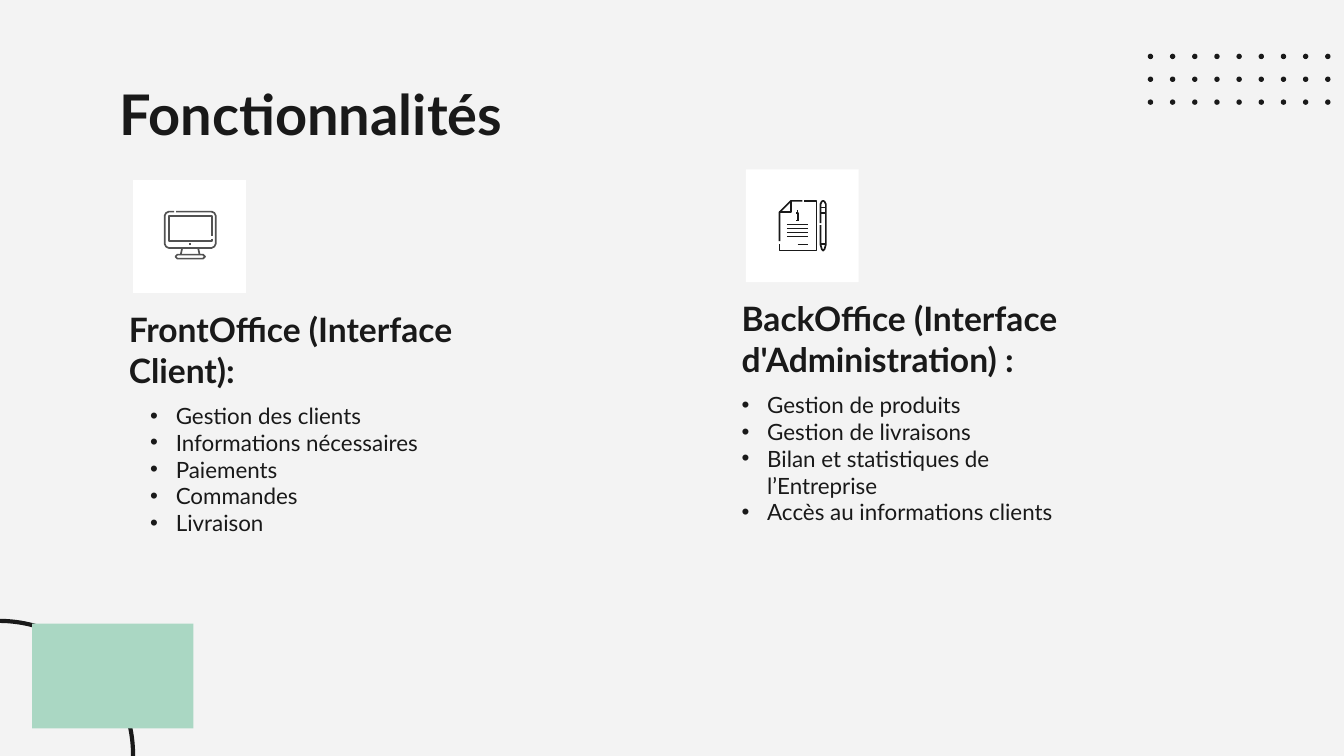
from lxml.etree import SubElement
from pptx import Presentation
from pptx.dml.color import RGBColor
from pptx.enum.shapes import MSO_SHAPE
from pptx.enum.text import MSO_ANCHOR, PP_ALIGN
from pptx.oxml.ns import qn
from pptx.util import Inches, Pt

HUES = {"back": "F3F3F3", "ink": "191919", "mint": "AAD7C3",
        "tile": "FFFFFF", "gray": "525252"}
FONT = "Lato"
GRID = 200

SCREEN = [
    ([(64, 47), (117, 47), (121, 49), (123, 53), (123, 95), (121, 99), (117, 101),
      (53, 101), (49, 99), (47, 95), (47, 53), (49, 49), (53, 47), (61, 47)], False),
    ([(117, 87), (117, 91), (53, 91), (53, 53), (117, 53), (117, 83)], False),
    ([(73, 102), (71, 111)], False),
    ([(97, 102), (99, 111)], False),
    ([(66, 111), (104, 111), (107, 114), (104, 117), (66, 117), (63, 114)], True),
    ([(84, 95), (86, 95)], False),
]
PAPER = [
    ([(87, 47), (105, 47), (105, 121), (50, 121), (50, 111)], False),
    ([(84, 47), (67, 47), (50, 64), (50, 107)], False),
    ([(67, 47), (67, 64), (50, 64)], False),
    *[([(61, y), (93, y)], False) for y in range(82, 101, 6)],
    ([(77, 112), (93, 112)], False),
    ([(76, 62), (78, 62)], False),
    ([(75, 65), (77, 65), (77, 76)], False),
    ([(75, 76), (79, 76)], False),
    ([(111, 80), (111, 52), (113, 48), (115, 47), (117, 48), (119, 52), (119, 112),
      (117, 119), (115, 121), (113, 119), (111, 112), (111, 83)], False),
    *[([(111, y), (119, y)], False) for y in (57, 65, 111)],
]


def tint(name):
    return RGBColor.from_string(HUES[name])


def paint(shape, fill=None, line=None, width=1):
    shape.shadow.inherit = False
    if fill:
        shape.fill.solid()
        shape.fill.fore_color.rgb = tint(fill)
    else:
        shape.fill.background()
    if line:
        shape.line.color.rgb = tint(line)
        shape.line.width = Pt(width)
    else:
        shape.line.fill.background()


def add_form(slide, kind, box, **look):
    shape = slide.shapes.add_shape(kind, *map(Inches, box))
    paint(shape, **look)


def add_text(slide, box, lines, size, bold=False, anchor=MSO_ANCHOR.TOP):
    frame = slide.shapes.add_textbox(*map(Inches, box)).text_frame
    frame.word_wrap = True
    frame.vertical_anchor = anchor
    frame.margin_left = frame.margin_right = Inches(0.1)
    frame.margin_top = frame.margin_bottom = Inches(0.1)
    frame.text = "\n".join(lines)
    for part in frame.paragraphs:
        part.alignment = PP_ALIGN.LEFT
        for run in part.runs:
            run.font.name = FONT
            run.font.size = Pt(size)
            run.font.bold = bold
            run.font.color.rgb = tint("ink")
    return frame


def add_marks(frame, indent):
    for part in frame.paragraphs:
        props = part._p.get_or_add_pPr()
        props.set("marL", str(Inches(indent)))
        props.set("indent", str(-Inches(0.19)))
        color = SubElement(props, qn("a:buClr"))
        SubElement(color, qn("a:srgbClr"), val=HUES["ink"])
        SubElement(props, qn("a:buFont"), typeface="Arial")
        SubElement(props, qn("a:buChar"), char="•")


def add_icon(slide, box, strokes, hue):
    left, top, width, height = box
    add_form(slide, MSO_SHAPE.RECTANGLE, box, fill="tile")
    for points, closed in strokes:
        pen = slide.shapes.build_freeform(*points[0], scale=Inches(1) / GRID)
        pen.add_line_segments(points[1:], close=closed)
        shape = pen.convert_to_shape(Inches(left), Inches(top))
        paint(shape, line=hue, width=0.9)


def add_panel(slide, box, head, items, indent, strokes, hue):
    left, top, width, height = box
    add_text(slide, (left, top + 1.05, width, 0.61), [head], 18, True, MSO_ANCHOR.BOTTOM)
    frame = add_text(slide, (left, top + 1.55, 2.74, height - 1.55), items, 12)
    add_marks(frame, indent)
    add_icon(slide, (left + 0.13, top, 0.84, 0.84), strokes, hue)


def add_dots(slide, box, cols=9, rows=3, size=0.04):
    left, top, width, height = box
    for col in range(cols):
        for row in range(rows):
            x = left + col * (width - size) / (cols - 1)
            y = top + row * (height - size) / (rows - 1)
            add_form(slide, MSO_SHAPE.OVAL, (x, y, size, size), fill="ink")


def add_corner(slide, box):
    left, top, width, height = box
    add_form(slide, MSO_SHAPE.OVAL, (left, top, 2, 2), line="ink", width=2.25)
    add_form(slide, MSO_SHAPE.RECTANGLE,
             (left + width - 1.2, top + 0.02, 1.2, height - 0.02), fill="mint")


def main():
    deck = Presentation()
    deck.slide_width = Inches(10)
    deck.slide_height = Inches(10) * 9 // 16
    slide = deck.slides.add_slide(deck.slide_layouts[6])
    slide.background.fill.solid()
    slide.background.fill.fore_color.rgb = tint("back")
    add_corner(slide, (-1.01, 4.62, 2.45, 0.8))
    add_dots(slide, (8.54, 0.4, 1.36, 0.38))
    add_text(slide, (0.79, 0.49, 8.42, 0.63), ["Fonctionnalités"], 30, True)
    add_panel(slide, (0.86, 1.34, 3.29, 2.86), "FrontOffice (Interface Client):",
              ["Gestion des clients", "Informations nécessaires", "Paiements",
               "Commandes", "Livraison"], 0.35, SCREEN, "gray")
    add_panel(slide, (5.42, 1.26, 4.4, 2.86), "BackOffice (Interface d'Administration) :",
              ["Gestion de produits", "Gestion de livraisons",
               "Bilan et statistiques de l’Entreprise",
               "Accès au informations clients"], 0.19, PAPER, "ink")
    deck.save("out.pptx")


if __name__ == "__main__":
    main()
